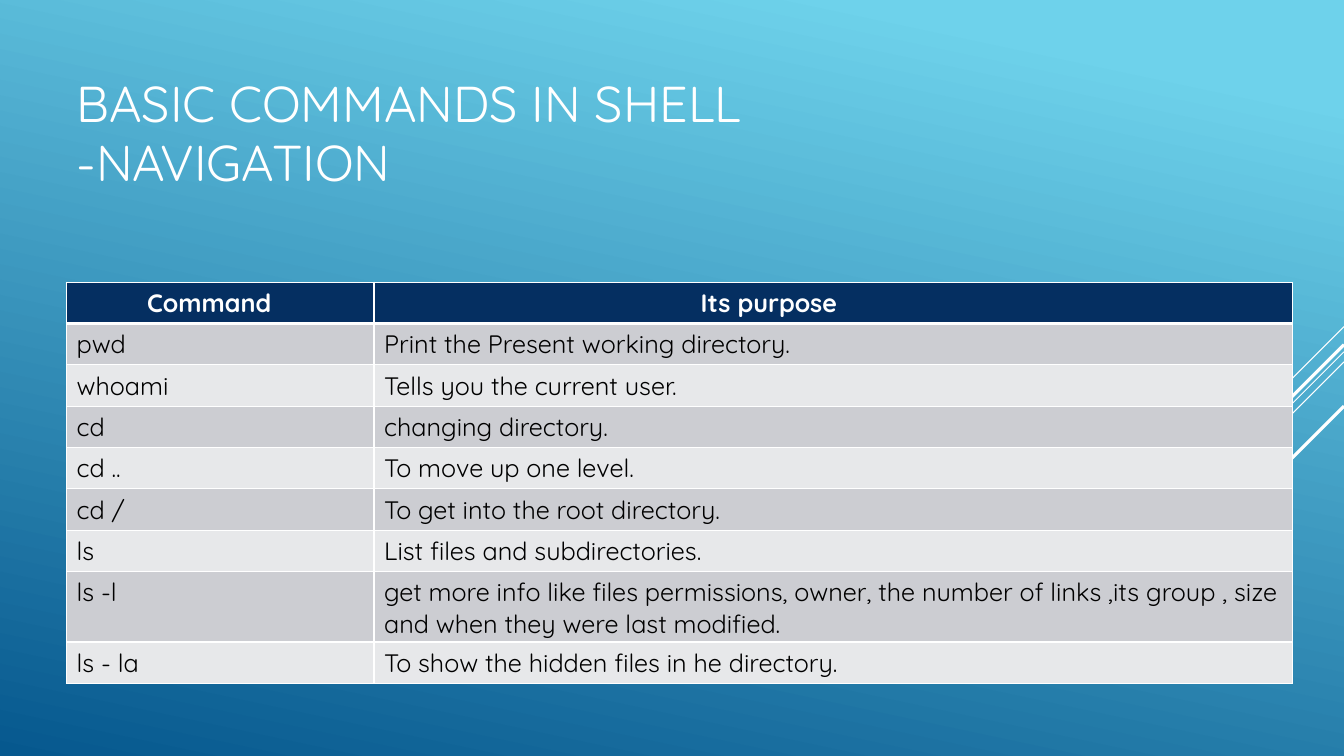
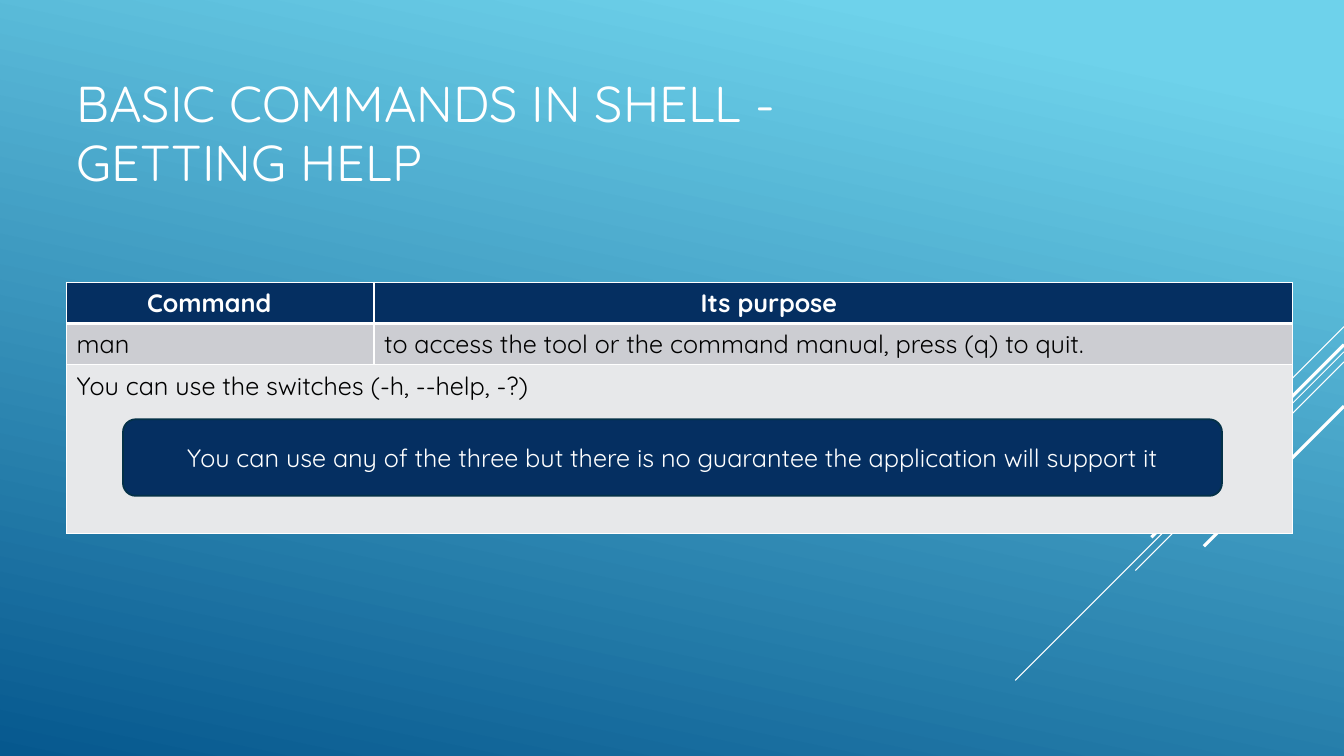
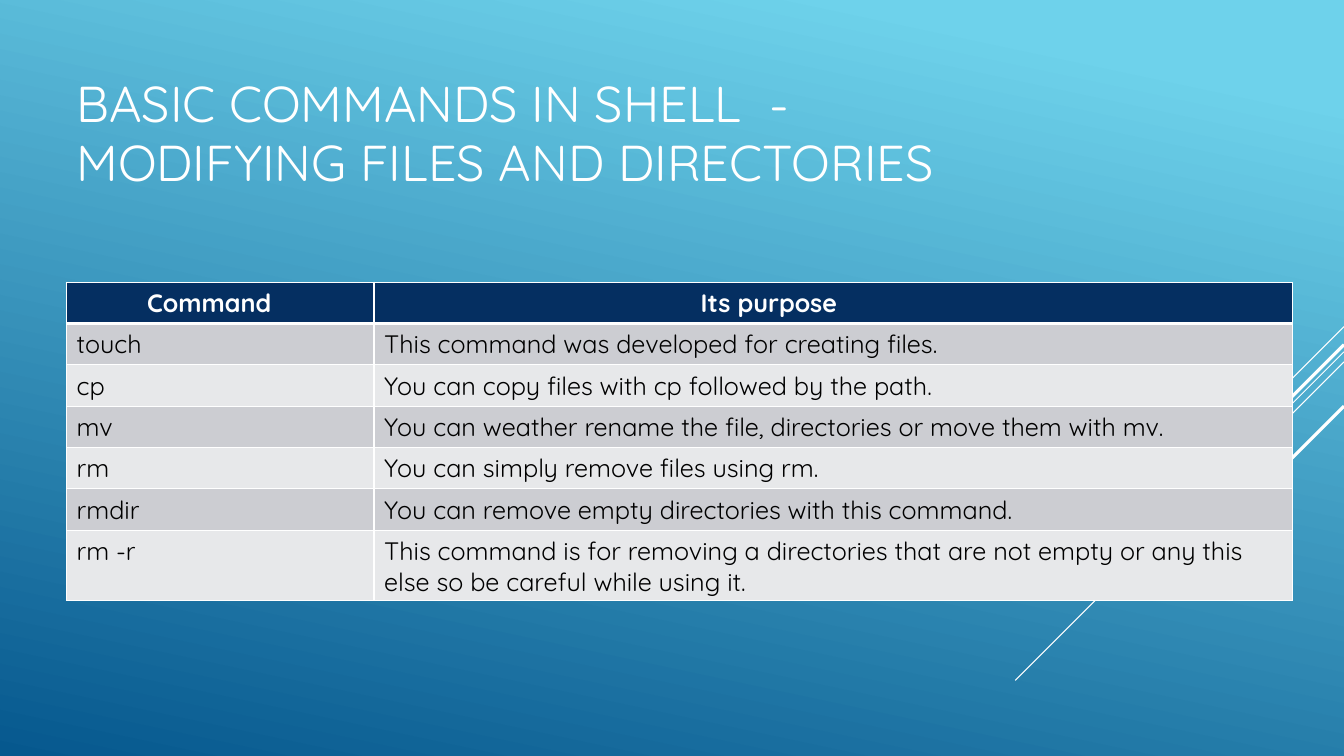
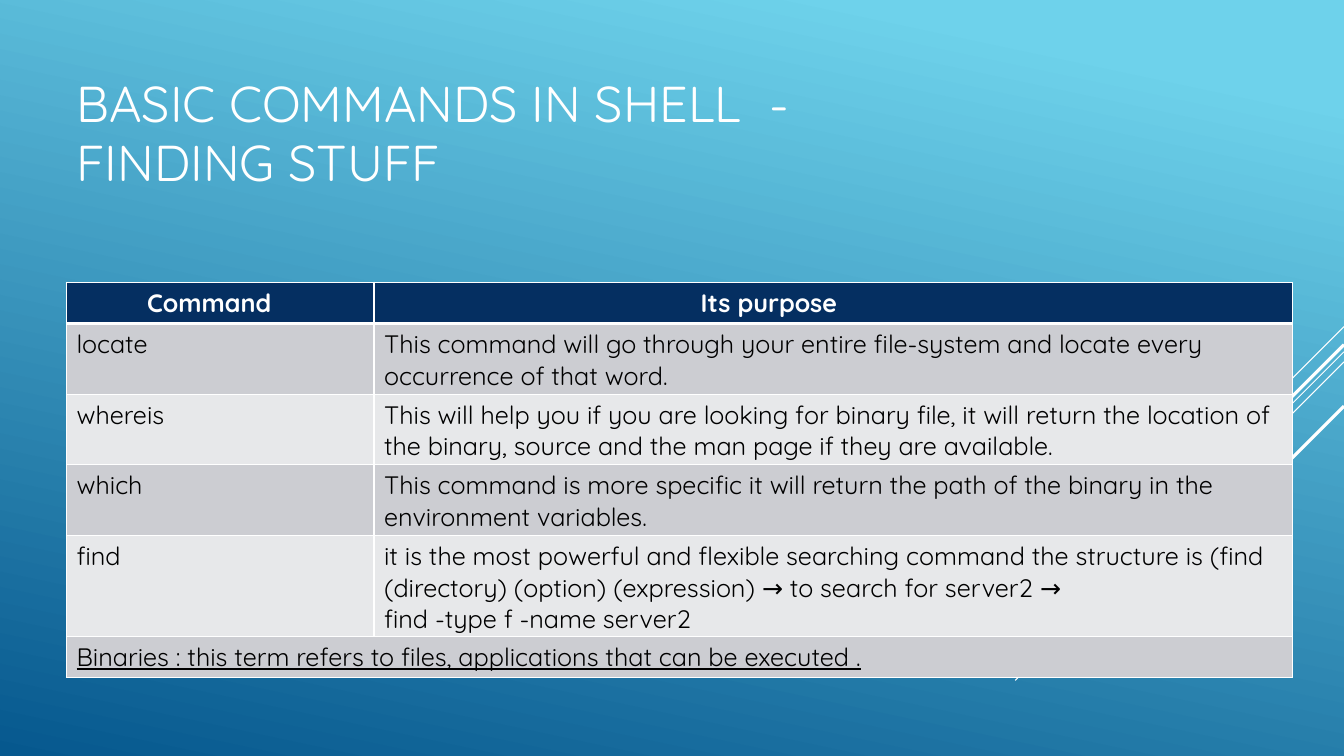
import pptx
import pptx.util
import pptx.dml.color
import pptx.enum.shapes
import pptx.enum.text
import pptx.oxml
import pptx.oxml.ns
from dataclasses import dataclass

Inches = pptx.util.Inches
Pt = pptx.util.Pt


@dataclass(frozen=True)
class Theme:
    font: str = "Quicksand"
    white: str = "FFFFFF"
    black: str = "000000"
    navy: str = "052F61"
    edge: str = "043148"
    bands: tuple = ("CCCDD2", "E7E8EA")
    sky: tuple = ((0.1, "6ED2EB"), (1, "06588E"))
    angle: int = 102
    title: int = 36
    body: int = 18


THEME = Theme()
WIDTH, HEIGHT = 13.33, 7.5
TITLE = (0.66, 0.51, 9.33, 1.65)
TABLE = (0.66, 2.8, 12.16)
COLS = (3.05, 9.11)
ROW = 0.41
HEADS = (("Command", 0.7), ("Its purpose", 3.14))  # label, indent
# Diagonal rays: top at the right edge, run, weight
RAYS = ((3.24, 1, 0.75), (3.49, 3.26, 0.75), (3.59, 2.07, 0.75),
        (3.42, 1.91, 2.25), (4.03, 1.39, 2.25))


def rgb(code):
    return pptx.dml.color.RGBColor.from_string(code)


def paint(fill, code):
    fill.solid()
    fill.fore_color.rgb = rgb(code)


def write(frame, text, size, color, bold=False, under=False):
    """Fill a frame: a newline starts a paragraph, a tab-stop \\v a line."""
    frame.word_wrap = True
    for i, part in enumerate(text.split("\n")):
        para = frame.add_paragraph() if i else frame.paragraphs[0]
        for j, line in enumerate(part.split("\v")):
            if j:
                para.add_line_break()
            run = para.add_run()
            run.text = line
            font = run.font
            font.name, font.size = THEME.font, Pt(size)
            font.bold, font.underline = bold, under
            font.color.rgb = rgb(color)
    return frame.paragraphs[0]


# Shared backdrop
def set_sky(master):
    fill = master.background.fill
    fill.gradient()
    fill.gradient_angle = 360 - THEME.angle
    for stop, (pos, code) in zip(fill.gradient_stops, THEME.sky):
        stop.position = pos
        stop.color.rgb = rgb(code)


def add_rays(slide, right):
    for top, run, weight in RAYS:
        ray = slide.shapes.add_connector(
            pptx.enum.shapes.MSO_CONNECTOR.STRAIGHT, Inches(right),
            Inches(top), Inches(right - run), Inches(top + run))
        ray.line.color.rgb = rgb(THEME.white)
        ray.line.width = Pt(weight)
        ray._element.spPr.append(
            pptx.oxml.parse_xml(f"<a:effectLst {pptx.oxml.ns.nsdecls('a')}/>"))


# Title
def add_title(slide, box, text):
    frame = slide.shapes.add_textbox(*map(Inches, box)).text_frame
    frame.vertical_anchor = pptx.enum.text.MSO_ANCHOR.MIDDLE
    para = write(frame, text, THEME.title, THEME.white)
    para.line_spacing = 0.97


# Command table
def rule_cell(cell, top, foot):
    props = cell._tc.get_or_add_tcPr()
    sides = (("L", 1), ("R", 1), ("T", top), ("B", foot))
    for i, (side, weight) in enumerate(sides):
        props.insert(i, pptx.oxml.parse_xml(
            f'<a:ln{side} {pptx.oxml.ns.nsdecls("a")} w="{Pt(weight)}">'
            f'<a:solidFill><a:srgbClr val="{THEME.white}"/></a:solidFill>'
            f'</a:ln{side}>'))


def add_table(slide, box, rows, last):
    """A row with a single text spans both columns."""
    left, top, width = box
    count = len(rows) + 1
    high = ROW * (count - 1) + last
    table = slide.shapes.add_table(
        count, len(COLS), *map(Inches, (left, top, width, high))).table
    for col, size in zip(table.columns, COLS):
        col.width = Inches(size)
    for r, row in enumerate(table.rows):
        row.height = Inches(last if r == count - 1 else ROW)
        for cell in row.cells:
            paint(cell.fill, THEME.bands[(r - 1) % 2] if r else THEME.navy)
            rule_cell(cell, 3 if r == 1 else 1, 1 if r else 3)
    # Header
    for c, (label, indent) in enumerate(HEADS):
        para = write(table.cell(0, c).text_frame, label, THEME.body,
                     THEME.white, bold=True)
        para._p.get_or_add_pPr().set("marL", str(Inches(indent)))
    # Body
    for r, texts in enumerate(rows, 1):
        if len(texts) == 1:
            table.cell(r, 0).merge(table.cell(r, 1))
        for c, text in enumerate(texts):
            write(table.cell(r, c).text_frame, text, THEME.body, THEME.black,
                  under=text.startswith("Binaries"))


# Rounded note
def add_note(slide, box, text):
    note = slide.shapes.add_shape(
        pptx.enum.shapes.MSO_SHAPE.ROUNDED_RECTANGLE, *map(Inches, box))
    note.shadow.inherit = False
    paint(note.fill, THEME.navy)
    note.line.color.rgb = rgb(THEME.edge)
    note.line.width = Pt(1.25)
    note.text_frame.vertical_anchor = pptx.enum.text.MSO_ANCHOR.MIDDLE
    para = write(note.text_frame, text, THEME.body, THEME.white)
    para.alignment = pptx.enum.text.PP_ALIGN.CENTER


def add_page(deck, title, rows, last=ROW):
    slide = deck.slides.add_slide(deck.slide_layouts[6])
    add_rays(slide, WIDTH)
    add_title(slide, TITLE, title)
    add_table(slide, TABLE, rows, last)
    return slide


MOVE = (
    ("pwd", "Print the Present working directory."),
    ("whoami", "Tells you the current user."),
    ("cd", "changing directory."),
    ("cd ..", "To move up one level."),
    ("cd /", "To get into the root directory."),
    ("ls", "List files and subdirectories."),
    ("ls -l", "get more info like files permissions, owner, the number of "
     "links ,its group , size and when they were last modified."),
    ("ls - la", "To show the hidden files in he directory."),
)
HELP = (
    ("man", "to access the tool or the command manual, press (q) to quit."),
    ("You can use the switches (-h, --help, -?)",),
)
EDIT = (
    ("touch", "This command was developed for creating files."),
    ("cp", "You can copy files with cp followed by the path."),
    ("mv", "You can weather rename the file, directories or move them "
     "with mv."),
    ("rm", "You can simply remove files using rm."),
    ("rmdir", "You can remove empty directories with this command."),
    ("rm -r", "This command is for removing a directories that are not empty "
     "or any this else so be careful while using it."),
)
FIND = (
    ("locate", "This command will go through your entire file-system and "
     "locate every occurrence of that word."),
    ("whereis", "This will help you if you are looking for binary file, it "
     "will return the location of the binary, source and the man page if "
     "they are available."),
    ("which", "This command is more specific it will return the path of the "
     "binary in the environment variables."),
    ("find", "it is the most powerful and flexible searching command the "
     "structure is (find (directory) (option) (expression) → to search for "
     "server2 →\nfind -type f -name server2"),
    ("Binaries : this term refers to files, applications that can be "
     "executed .",),
)

deck = pptx.Presentation()
deck.slide_width, deck.slide_height = Inches(WIDTH), Inches(HEIGHT)
set_sky(deck.slide_master)

add_page(deck, "BASIC COMMANDS IN SHELL  -NAVIGATION", MOVE)
guide = add_page(deck, "BASIC COMMANDS IN SHELL -\vGETTING HELP", HELP, 1.67)
add_note(guide, (1.22, 4.16, 10.9, 0.76),
         "You can use any of the three but there is no guarantee the "
         "application will support it")
add_page(deck, "BASIC COMMANDS IN SHELL  - MODIFYING FILES AND DIRECTORIES",
         EDIT)
add_page(deck, "BASIC COMMANDS IN SHELL  - FINDING STUFF", FIND)

deck.save("out.pptx")
